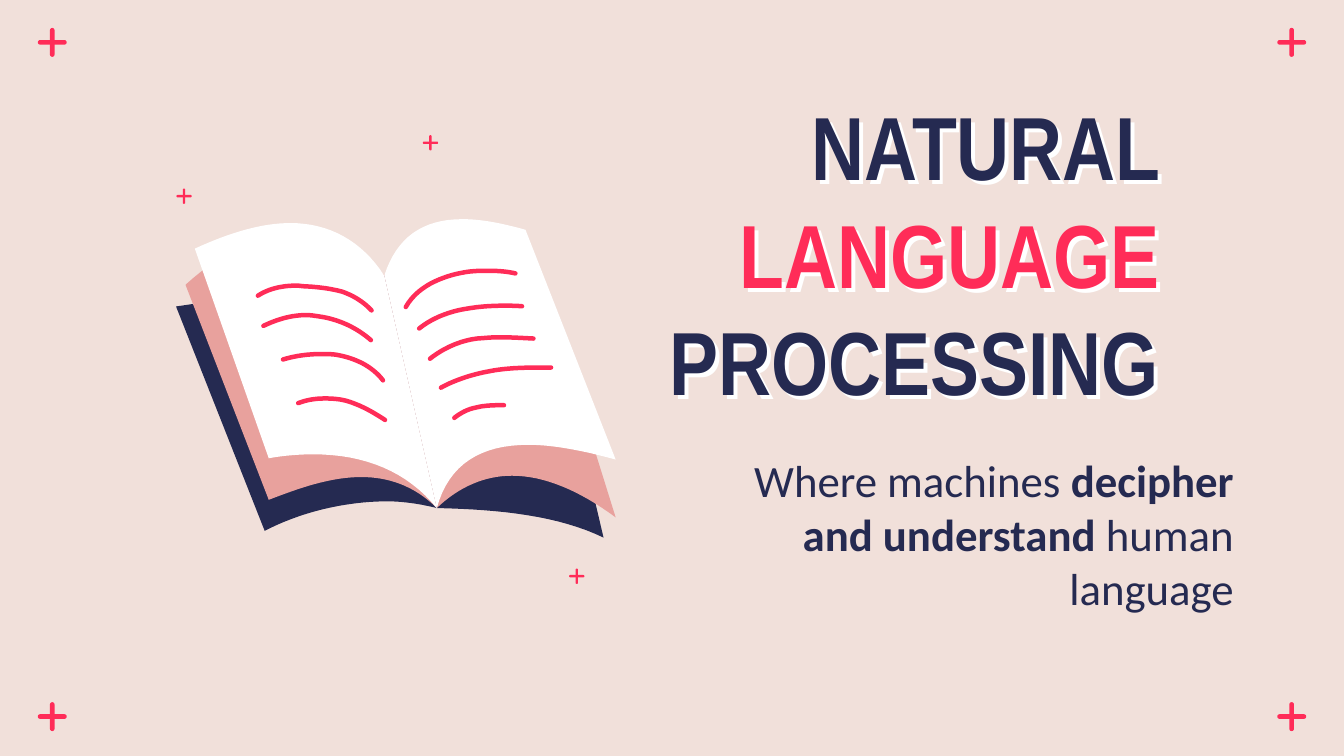
from dataclasses import dataclass
from itertools import product

from lxml import etree
from pptx import Presentation
from pptx.dml.color import RGBColor
from pptx.enum.shapes import MSO_SHAPE
from pptx.enum.text import MSO_ANCHOR, MSO_AUTO_SIZE, PP_ALIGN
from pptx.oxml.ns import qn
from pptx.util import Pt

BLUSH = RGBColor(0xF1, 0xE0, 0xDA)
NAVY = RGBColor(0x25, 0x2A, 0x51)
RED = RGBColor(0xFF, 0x2C, 0x58)
ROSE = RGBColor(0xE8, 0xA1, 0x9D)
WHITE = RGBColor(0xFF, 0xFF, 0xFF)

ROUNDED = MSO_SHAPE.ROUNDED_RECTANGLE
RIGHT = PP_ALIGN.RIGHT
NO_AUTOFIT = MSO_AUTO_SIZE.NONE

CURVE_STEPS = 16
INK_WIDTH = 2.4
SPINE_TOP = (205.9, 147.6)
SPINE_BOTTOM = (234, 272.2)


@dataclass(frozen=True)
class Plus:
    x: float
    y: float
    length: float
    thickness: float


@dataclass(frozen=True)
class Outline:
    """A start point, then line ends (2 numbers) or Bezier curves (6 numbers)."""
    start: tuple
    segments: tuple
    color: RGBColor = RED


@dataclass(frozen=True)
class Words:
    text: str
    color: RGBColor = NAVY
    bold: bool = True


@dataclass(frozen=True)
class TextStyle:
    font: str
    size: float
    space_after: float = 0


CORNER_PLUSES = [Plus(x, y, 15.5, 2.5) for y, x in product((22.7, 383.9), (28, 692))]
BOOK_PLUSES = [Plus(x, y, 8.2, 1.3)
               for x, y in ((98.6, 105.1), (230.6, 76.5), (309, 308.7))]

COVER_AND_PAGES = [
    Outline(SPINE_TOP, ((94.3, 164.2), (141.8, 284.4),
                        (159.8, 275, 183.6, 268.6, 207.4, 268.6),
                        (216, 268.6, 225.4, 270, *SPINE_BOTTOM),
                        (268.6, 272.9, 299.5, 276.5, 323.3, 288),
                        (293, 159.1)), NAVY),
    Outline((160.6, 123.8), ((142.6, 123.8, 121.7, 132.5, 99.4, 152.6),
                             (144, 267.8),
                             (160.6, 261.4, 177.1, 255.6, 193.7, 255.6),
                             (207.4, 255.6, 221.8, 259.9, *SPINE_BOTTOM), SPINE_TOP,
                             (195.8, 133.9, 180, 123.8, 160.6, 123.8)), ROSE),
    Outline((246.2, 123.1), ((230.4, 123.1, 216.7, 131, *SPINE_TOP), SPINE_BOTTOM,
                             (246.2, 260.6, 259.9, 254.9, 274.3, 254.9),
                             (291.6, 254.9, 310.3, 262.8, 329.8, 277.2),
                             (285.8, 136.1),
                             (271.4, 128.2, 257.8, 123.1, 246.2, 123.1)), ROSE),
    Outline((155.5, 119.5), ((140.4, 119.5, 123.1, 124.6, 104.4, 133.2),
                             (144, 245.5),
                             (151.9, 244.1, 159.8, 243.4, 167.8, 243.4),
                             (195.8, 243.4, 218.2, 252.7, *SPINE_BOTTOM), SPINE_TOP,
                             (193.7, 128.9, 176.4, 119.5, 155.5, 119.5)), WHITE),
    Outline((247.7, 117.4), ((226.1, 117.4, 212.4, 127.4, *SPINE_TOP), SPINE_BOTTOM,
                             (240.5, 248.4, 257.8, 238.3, 283, 238.3),
                             (295.9, 238.3, 311.8, 241.2, 329.8, 246.2),
                             (281.5, 123.1),
                             (268.6, 119.5, 257.8, 117.4, 247.7, 117.4)), WHITE),
]

WRITING = [
    Outline((217.4, 164.5), ((224.6, 151.6, 240.8, 147.2, 249.5, 145.8),
                             (253.8, 145.1, 257.8, 145.1, 261.4, 145.1),
                             (266.4, 145.1, 271.4, 145.4, 276.1, 146.5))),
    Outline((224.6, 176), ((231.8, 170.3, 240.8, 166.7, 251.3, 165.2),
                           (257.4, 164.2, 263.5, 163.8, 270, 163.8),
                           (273, 163.8, 276.5, 163.8, 279.7, 164.1))),
    Outline((230.4, 192.2), ((237.6, 186.5, 246.6, 182.5, 255.6, 181.4),
                             (259.9, 181.1, 263.5, 180.7, 267.1, 180.7),
                             (273.6, 180.7, 280.1, 181.1, 285.8, 181.4))),
    Outline((236.2, 207.7), ((244.1, 203.4, 253.8, 200.2, 265, 198.4),
                             (274.3, 196.9, 283.7, 196.9, 295.2, 196.9))),
    Outline((243.4, 223.9), ((246.6, 221.4, 250.6, 219.2, 254.5, 218.5),
                             (259.6, 217.1, 265, 217.1, 270, 217.1))),
    Outline((138.2, 158.4), ((144.4, 154.4, 151.6, 153, 159.1, 153),
                             (160.6, 153, 162, 153.4, 163.8, 153.4),
                             (169.6, 153.7, 176.4, 154.4, 183.2, 156.2),
                             (189.7, 158.4, 195.1, 162, 199.1, 166.3))),
    Outline((141.1, 174.6), ((148.7, 171, 156.2, 168.8, 164.2, 168.8),
                             (166.3, 168.8, 168.8, 169.2, 171.4, 169.6),
                             (181.1, 171, 190.8, 175.3, 198.7, 182.2))),
    Outline((151.6, 192.6), ((159.1, 190.4, 165.6, 189.7, 172.1, 189.7),
                             (175, 189.7, 177.8, 189.7, 180.4, 190.1),
                             (190.4, 191.9, 199.4, 196.2, 205.2, 203.8))),
    Outline((159.8, 216), ((164.5, 214.2, 169.2, 213.5, 174.2, 213.5),
                           (178.2, 213.5, 182.2, 213.8, 186.1, 214.9),
                           (193.3, 217.1, 199.8, 220.7, 206.3, 225))),
]

TITLE = [[Words("NATURAL "), Words("LANGUAGE", RED)], [Words("PROCESSING")]]
SUBTITLE = [[Words("Where machines", bold=False), Words(" decipher and understand "),
             Words("human language", bold=False)]]


def trace(outline: Outline) -> list[tuple]:
    """Turn the lines and curves of an outline into points."""
    points = [outline.start]
    for segment in outline.segments:
        if len(segment) == 2:
            points.append(segment)
            continue
        x0, y0 = points[-1]
        x1, y1, x2, y2, x3, y3 = segment
        for step in range(1, CURVE_STEPS + 1):
            t = step / CURVE_STEPS
            a, b, c, d = (1 - t) ** 3, 3 * t * (1 - t) ** 2, 3 * t * t * (1 - t), t ** 3
            points.append((a * x0 + b * x1 + c * x2 + d * x3,
                           a * y0 + b * y1 + c * y2 + d * y3))
    return points


def draw_outline(shapes, outline: Outline, filled: bool) -> None:
    start, *rest = [(Pt(x), Pt(y)) for x, y in trace(outline)]
    builder = shapes.build_freeform(*start)
    builder.add_line_segments(rest, close=filled)
    shape = builder.convert_to_shape()
    shape.shadow.inherit = False
    if filled:
        shape.fill.solid()
        shape.fill.fore_color.rgb = outline.color
        shape.line.fill.background()
    else:
        shape.fill.background()
        shape.line.color.rgb = outline.color
        shape.line.width = Pt(INK_WIDTH)
        shape.element.spPr.find(qn("a:ln")).set("cap", "rnd")


def draw_plus(shapes, plus: Plus) -> None:
    for width, height in ((plus.length, plus.thickness), (plus.thickness, plus.length)):
        bar = shapes.add_shape(ROUNDED, Pt(plus.x - width / 2), Pt(plus.y - height / 2),
                               Pt(width), Pt(height))
        bar.adjustments[0] = 0.5
        bar.shadow.inherit = False
        bar.fill.solid()
        bar.fill.fore_color.rgb = RED
        bar.line.fill.background()


def fill_placeholder(holder, box: tuple, lines: list, style: TextStyle, anchor) -> None:
    holder.left, holder.top, holder.width, holder.height = map(Pt, box)
    frame = holder.text_frame
    frame.word_wrap = True
    frame.auto_size = NO_AUTOFIT
    frame.vertical_anchor = anchor
    frame.margin_left = frame.margin_right = Pt(7.2)
    frame.margin_top = frame.margin_bottom = Pt(7.2)
    for index, line in enumerate(lines):
        paragraph = frame.add_paragraph() if index else frame.paragraphs[0]
        paragraph.alignment = RIGHT
        paragraph.space_before = Pt(0)
        paragraph.space_after = Pt(style.space_after)
        for words in line:
            run = paragraph.add_run()
            run.text = words.text
            run.font.name = style.font
            run.font.size = Pt(style.size)
            run.font.bold = words.bold
            run.font.color.rgb = words.color


def add_hard_shadow(shape, color: RGBColor, distance: float) -> None:
    """Cast an unblurred shadow to the lower right."""
    shape.shadow.inherit = False
    effects = shape.element.spPr.find(qn("a:effectLst"))
    shadow = etree.SubElement(effects, qn("a:outerShdw"), dist=str(Pt(distance)),
                              dir="2700000", algn="bl", rotWithShape="0")
    etree.SubElement(shadow, qn("a:srgbClr"), val=str(color))


def main() -> None:
    deck = Presentation()
    deck.slide_width, deck.slide_height = Pt(720), Pt(405)
    slide = deck.slides.add_slide(deck.slide_layouts[0])
    slide.background.fill.solid()
    slide.background.fill.fore_color.rgb = BLUSH

    title, subtitle = slide.placeholders
    fill_placeholder(title, (332.6, 87.8, 295.9, 95), TITLE,
                     TextStyle("Arial Narrow", 48), MSO_ANCHOR.MIDDLE)
    add_hard_shadow(title, WHITE, 3)
    fill_placeholder(subtitle, (361.4, 235.4, 306.7, 48.2), SUBTITLE,
                     TextStyle("Calibri", 24, 16), MSO_ANCHOR.TOP)

    for panel in COVER_AND_PAGES:
        draw_outline(slide.shapes, panel, filled=True)
    for stroke in WRITING:
        draw_outline(slide.shapes, stroke, filled=False)
    for plus in CORNER_PLUSES + BOOK_PLUSES:
        draw_plus(slide.shapes, plus)

    deck.save("out.pptx")


if __name__ == "__main__":
    main()
